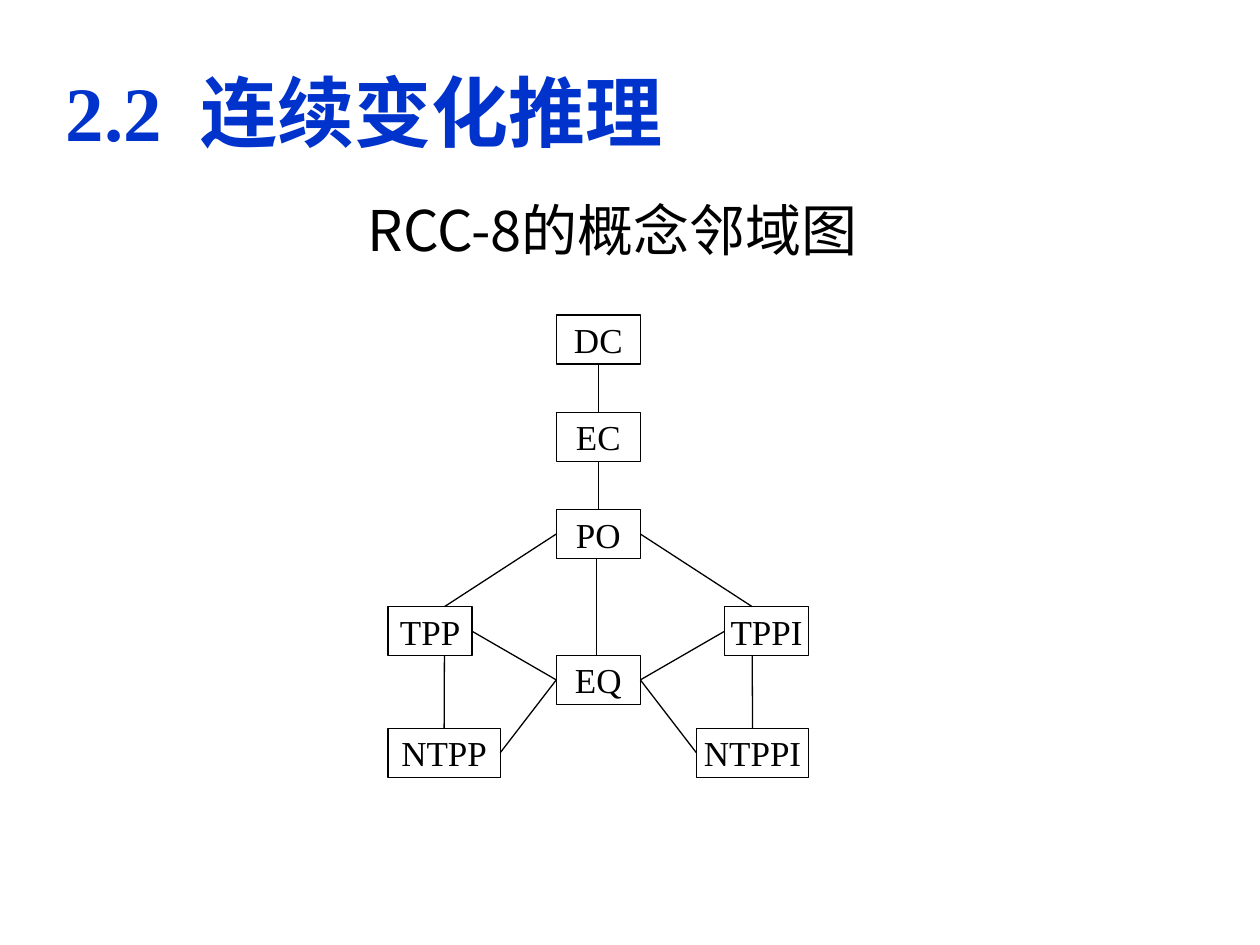
"""Build the slide on the conceptual neighbourhood graph of RCC-8."""
from lxml import etree
from pptx import Presentation
from pptx.dml.color import RGBColor
from pptx.enum.shapes import MSO_CONNECTOR, MSO_SHAPE
from pptx.enum.text import MSO_ANCHOR, PP_ALIGN
from pptx.oxml.ns import qn
from pptx.util import Inches, Pt

LEFT, CENTER = PP_ALIGN.LEFT, PP_ALIGN.CENTER
MIDDLE = MSO_ANCHOR.MIDDLE
RECTANGLE, STRAIGHT = MSO_SHAPE.RECTANGLE, MSO_CONNECTOR.STRAIGHT
BLUE, BLACK = RGBColor(0x00, 0x33, 0xCC), RGBColor(0, 0, 0)
SERIF, SANS = "Times New Roman", "Noto Sans CJK SC"

HEADING = [("2.2  连续变化推理", SERIF)]
CAPTION = [("RCC-8", SANS), ("的概念邻域图 ", SERIF)]

RELATIONS = {
    "DC": (6, 0, 3),
    "EC": (6, 4, 3),
    "PO": (6, 8, 3),
    "TPP": (0, 12, 3),
    "TPPI": (12, 12, 3),
    "NTPP": (0, 17, 4),
    "NTPPI": (11, 17, 4),
    "EQ": (6, 14, 3),
}
NEIGHBOURS = [
    (("DC", 0.5, 1), ("EC", 0.5, 0)),
    (("EC", 0.5, 1), ("PO", 0.5, 0)),
    (("PO", 0, 0.5), ("TPP", 0.67, 0)),
    (("PO", 1, 0.5), ("TPPI", 0.33, 0)),
    (("TPP", 0.67, 1), ("NTPP", 0.5, 0)),
    (("TPPI", 0.33, 1), ("NTPPI", 0.5, 0)),
    (("NTPP", 1, 0.5), ("EQ", 0, 0.5)),
    (("EQ", 1, 0.5), ("NTPPI", 0, 0.5)),
    (("TPP", 1, 0.5), ("EQ", 0, 0.5)),
    (("EQ", 1, 0.5), ("TPPI", 0, 0.5)),
    (("PO", 0.48, 1), ("EQ", 0.48, 0)),
]

GRAPH_LEFT, GRAPH_TOP = Inches(3.08), Inches(2.5)
COLUMN, ROW = Inches(2.67) / 12, Inches(3.28) / 17
NODE_HEIGHT = Inches(0.39)
INSETS = ("margin_left", "margin_right", "margin_top", "margin_bottom")


def write(shape, runs, align, font_format, frame_format):
    frame = shape.text_frame
    for name, value in frame_format.items():
        setattr(frame, name, value)
    paragraph = frame.paragraphs[0]
    paragraph.alignment = align
    for text, typeface in runs:
        run = paragraph.add_run()
        run.text = text
        run.font.color.rgb = BLUE if font_format["bold"] else BLACK
        for name, value in {**font_format, "name": typeface}.items():
            setattr(run.font, name, value)
        east_asian = etree.SubElement(run.font._element, qn("a:ea"))
        east_asian.set("typeface", SANS)


def add_relation(slide, label, column, row, span):
    node = slide.shapes.add_shape(
        RECTANGLE, round(GRAPH_LEFT + column * COLUMN),
        round(GRAPH_TOP + row * ROW), round(span * COLUMN), NODE_HEIGHT)
    node.shadow.inherit = False
    node.fill.background()
    node.line.color.rgb = BLACK
    node.line.width = Pt(0.75)
    write(node, [(label, SERIF)], CENTER, {"size": Pt(20), "bold": False},
          {"word_wrap": True, "vertical_anchor": MIDDLE, **dict.fromkeys(INSETS, 0)})
    return node


def site(nodes, label, across, down):
    node = nodes[label]
    return round(node.left + across * node.width), round(node.top + down * node.height)


def main():
    deck = Presentation()
    deck.slide_width, deck.slide_height = Inches(10), Inches(7.5)
    slide = deck.slides.add_slide(deck.slide_layouts[5])

    heading = slide.shapes.title
    heading.left, heading.top = Inches(0.42), Inches(0.42)
    heading.width, heading.height = Inches(8.5), Inches(0.92)
    write(heading, HEADING, LEFT, {"size": Pt(44), "bold": True},
          {"word_wrap": True, "vertical_anchor": MIDDLE})

    caption = slide.shapes.add_textbox(Inches(0.33), Inches(1.5), Inches(9.17), Inches(0.64))
    write(caption, CAPTION, CENTER, {"size": Pt(32), "bold": False}, {"word_wrap": True})

    nodes = {label: add_relation(slide, label, *place) for label, place in RELATIONS.items()}
    for start, end in NEIGHBOURS:
        edge = slide.shapes.add_connector(STRAIGHT, *site(nodes, *start), *site(nodes, *end))
        edge.line.color.rgb = BLACK
        edge.line.width = Pt(0.75)
        etree.SubElement(edge._element.spPr, qn("a:effectLst"))

    deck.save("out.pptx")


if __name__ == "__main__":
    main()
